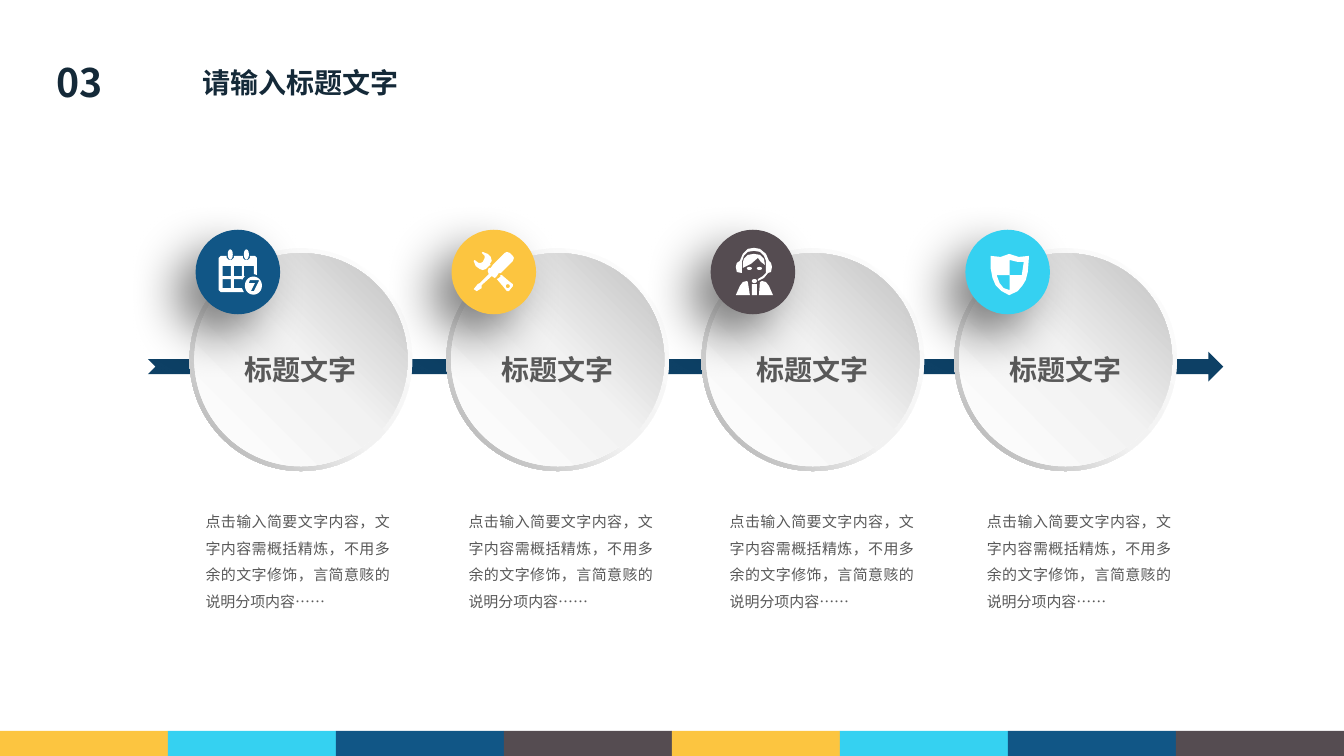
from math import cos, sin, tau

from lxml import etree
from pptx import Presentation
from pptx.dml.color import RGBColor as RGB
from pptx.enum.shapes import MSO_SHAPE as Kind
from pptx.enum.text import PP_ALIGN as Align
from pptx.oxml import parse_xml
from pptx.oxml.ns import nsdecls, qn
from pptx.util import Cm, Pt

FONT = "Noto Sans CJK SC"
NAVY = RGB(0x14, 0x29, 0x38)
GRAY = RGB(0x59, 0x59, 0x59)
WHITE = RGB(0xFF, 0xFF, 0xFF)
SILVER = RGB(0xF2, 0xF2, 0xF2)
STEEL = RGB(0xA6, 0xA6, 0xA6)
ASH = RGB(0xBF, 0xBF, 0xBF)
ARROW = RGB(0x0D, 0x40, 0x65)
GOLD = RGB(0xFC, 0xC5, 0x40)
CYAN = RGB(0x35, 0xD1, 0xF1)
BLUE = RGB(0x11, 0x56, 0x86)
PLUM = RGB(0x55, 0x4C, 0x51)

LABEL = "标题文字"
NOTE = "点击输入简要文字内容，文字内容需概括精炼，不用多余的文字修饰，言简意赅的说明分项内容……"
DISC = 5.61
BADGE = 2.13
GRID = 84  # icon units across a badge


def oval(x, y, rx, ry):
    return [(x + rx * cos(tau * i / 24), y + ry * sin(tau * i / 24)) for i in range(24)]


def rect(x, y, w, h):
    return [(x, y), (x + w, y), (x + w, y + h), (x, y + h)]


# Each icon is a list of outlines; an outline inside another cuts a hole.
CALENDAR = [
    [(25, 26), (31, 26), (31, 28), (33, 30), (36, 30), (38, 28), (38, 26),
     (47, 26), (47, 28), (49, 30), (52, 30), (54, 28), (54, 26), (59, 26),
     (61, 28), (61, 45), (58, 44), (58, 36), (48, 36), (48, 46), (49, 46),
     (46, 50), (46, 49), (38, 49), (38, 58), (46, 58), (48, 62), (25, 62),
     (23, 60), (23, 28)],
    rect(27, 36, 8, 10), rect(38, 36, 8, 10), rect(27, 49, 8, 9),
    oval(34.5, 24.5, 2.5, 5), oval(50.5, 24.5, 2.5, 5), oval(57.5, 55.5, 8.5, 9),
    [(54, 50), (63, 50), (63, 51), (58, 61), (55, 61), (59, 53), (53, 53)],
]
TOOLS = [
    [(31, 22), (30, 23), (33, 26), (33, 28), (31, 32), (29, 33), (27, 33),
     (23, 30), (22, 31), (24, 36), (28, 39), (31, 40), (34, 39), (37, 36),
     (39, 35), (38, 34), (40, 31), (39, 27), (36, 24)],
    [(48, 45), (49, 46), (47, 48), (45, 49), (51, 56), (55, 61), (57, 61),
     (61, 56), (61, 54), (57, 51), (50, 45)],
    oval(56, 56, 2, 2),
    [(61, 26), (58, 23), (55, 22), (53, 23), (41, 35), (39, 38), (37, 38),
     (36, 41), (37, 44), (28, 53), (26, 54), (22, 59), (25, 61), (30, 58),
     (30, 55), (40, 46), (43, 48), (45, 46), (47, 43), (49, 43), (61, 31), (62, 28)],
]
AGENT = [
    [(43, 18), (37, 19), (32, 24), (29, 31), (26, 33), (25, 37), (26, 42),
     (31, 43), (31, 32), (33, 26), (37, 22), (43, 21), (49, 22), (53, 26),
     (55, 31), (55, 43), (52, 46), (47, 49), (47, 51), (53, 48), (57, 43),
     (60, 42), (61, 37), (60, 33), (58, 31), (55, 24), (49, 19)],
    [(43, 24), (37, 25), (33, 29), (32, 33), (32, 38), (40, 34), (47, 28),
     (50, 32), (54, 35), (53, 29), (49, 25)],
    oval(38.5, 38.5, 2.5, 1.5), oval(48.5, 38.5, 2.5, 1.5), oval(43.5, 51, 2.5, 2),
    [(51, 51), (49, 52), (48, 65), (62, 65), (58, 56), (55, 52)],
    [(36, 51), (32, 52), (29, 56), (25, 65), (39, 65), (37, 52)],
    rect(41, 54, 5, 11),
]
SHIELD = [
    [(25, 26), (35, 27), (43.5, 24), (53, 27), (63, 26), (63, 29), (62, 42),
     (60, 50), (57, 55), (52, 61), (43.5, 65), (36, 61), (30, 55), (27, 48),
     (25, 38)],
    [(44, 30), (52, 32), (58, 32), (56, 45), (44, 45)],
    [(44, 45), (31, 45), (34, 53), (38, 58), (44, 60)],
]

# Colour, icon, disc left, badge shift, note shift
STEPS = [
    (BLUE, CALENDAR, 4.78, 0.15, 0.4),
    (GOLD, TOOLS, 11.25, 0.13, 0.56),
    (PLUM, AGENT, 17.68, 0.23, 0.71),
    (CYAN, SHIELD, 24.05, 0.28, 0.82),
]


def paint(shape, color):
    shape.shadow.inherit = False
    shape.line.fill.background()
    shape.fill.solid()
    shape.fill.fore_color.rgb = color
    return shape


def add(slide, kind, box, color):
    return paint(slide.shapes.add_shape(kind, *map(Cm, box)), color)


def blend(shape, stops, angle):
    """Fill with a linear gradient of (percent, colour) stops."""
    marks = "".join(f'<a:gs pos="{pos * 1000}"><a:srgbClr val="{color}"/></a:gs>'
                    for pos, color in stops)
    fill = parse_xml(f'<a:gradFill {nsdecls("a")} rotWithShape="1"><a:gsLst>{marks}</a:gsLst>'
                     f'<a:lin ang="{angle * 60000}" scaled="0"/></a:gradFill>')
    props = shape.fill._xPr
    props.replace(props.find(qn("a:solidFill")), fill)


def shade(shape):
    """Cast a soft shadow to the lower left."""
    props = shape.fill._xPr
    props.find(qn("a:effectLst")).append(parse_xml(
        f'<a:outerShdw {nsdecls("a")} blurRad="{Pt(35)}" dist="{Pt(20)}" dir="8100000" '
        'algn="tr" rotWithShape="0"><a:srgbClr val="000000"><a:alpha val="50000"/>'
        '</a:srgbClr></a:outerShdw>'))


def write(slide, box, text, size, color, align, bold=True, wrap=False):
    frame = slide.shapes.add_textbox(*map(Cm, box)).text_frame
    frame.word_wrap = wrap
    para = frame.paragraphs[0]
    para.text = text
    para.alignment = align
    font = para.font
    font.name, font.size, font.bold = FONT, Pt(size), bold
    font.color.rgb = color
    etree.SubElement(font._rPr, qn("a:ea")).set("typeface", FONT)
    return frame


def draw(slide, icon, left, top, size):
    pen = None
    for line in icon:
        spots = [(x * 10, y * 10) for x, y in line]
        if pen is None:
            pen = slide.shapes.build_freeform(*spots[0], scale=Cm(size) / GRID / 10)
        else:
            pen.move_to(*spots[0])
        pen.add_line_segments(spots[1:], close=True)
    paint(pen.convert_to_shape(Cm(left), Cm(top)), WHITE)


def header(slide, left, top):
    write(slide, (left, top, 1.75, 1.45), "03", 28, NAVY, Align.CENTER, wrap=True)
    write(slide, (left + 3.71, top + 0.18, 5.51, 1.12), "请输入标题文字", 20, NAVY, Align.LEFT)


def footer(slide, top, width, height):
    colors = [GOLD, CYAN, BLUE, PLUM] * 2
    part = width / len(colors)
    for i, color in enumerate(colors):
        add(slide, Kind.RECTANGLE, (i * part, top, part, height), color)


def step(slide, left, top, color, icon, shift, inset):
    ring = add(slide, Kind.DONUT, (left, top, DISC, DISC), STEEL)
    ring.adjustments[0] = 0.05
    blend(ring, [(0, WHITE), (55, SILVER), (100, STEEL)], 135)
    face = add(slide, Kind.OVAL, (left + 0.12, top + 0.12, DISC - 0.24, DISC - 0.24), SILVER)
    blend(face, [(0, WHITE), (51, SILVER), (100, ASH)], 315)
    write(slide, (left + 1.12, top + 2.51, 3.35, 1.12), LABEL, 20, GRAY, Align.CENTER)

    spot = left + shift, top - 0.47, BADGE
    shade(add(slide, Kind.OVAL, (*spot, BADGE), color))
    draw(slide, icon, *spot)

    frame = write(slide, (left + inset, top + 6.42, 4.65, 2.67), NOTE, 10.7, GRAY,
                  Align.JUSTIFY, bold=False, wrap=True)
    frame.margin_left = frame.margin_right = frame.margin_top = frame.margin_bottom = 0
    frame.paragraphs[0].line_spacing = 1.5


def main():
    deck = Presentation()
    deck.slide_width, deck.slide_height = Cm(33.87), Cm(19.05)
    slide = deck.slides.add_slide(deck.slide_layouts[6])
    header(slide, 1.14, 1.35)
    footer(slide, 18.42, 33.87, 0.63)
    add(slide, Kind.NOTCHED_RIGHT_ARROW, (3.73, 8.86, 27.1, 0.76), ARROW)
    for color, icon, left, shift, inset in STEPS:
        step(slide, left, 6.26, color, icon, shift, inset)
    deck.save("out.pptx")


if __name__ == "__main__":
    main()
